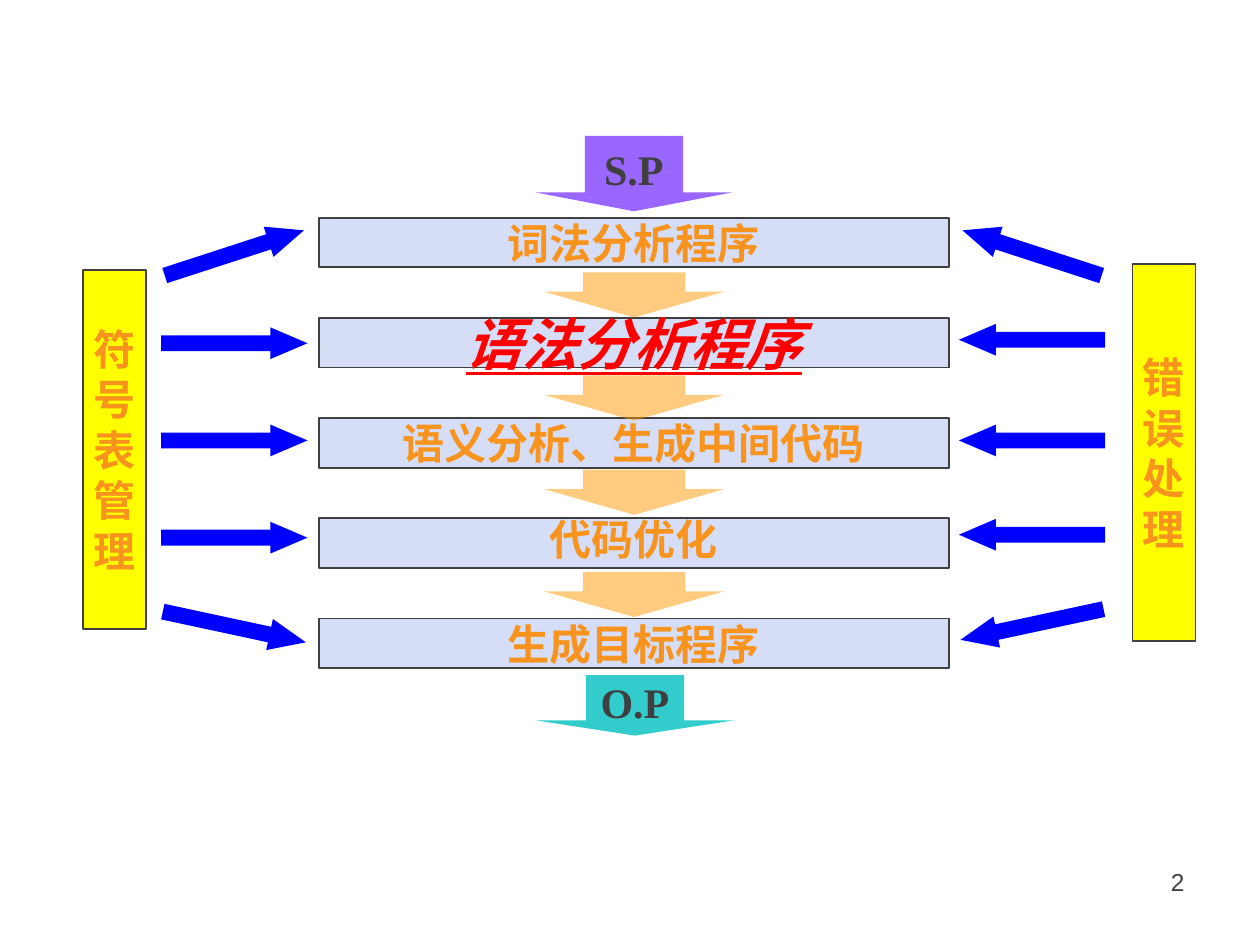
import pptx
import pptx.dml.color
import pptx.enum.shapes
import pptx.enum.text
import pptx.oxml
import pptx.oxml.ns
import pptx.util
from dataclasses import dataclass

Cm = pptx.util.Cm
Pt = pptx.util.Pt
SHAPE = pptx.enum.shapes.MSO_SHAPE
ALIGN = pptx.enum.text.PP_ALIGN


@dataclass(frozen=True)
class Theme:
    cjk: str = "Noto Sans CJK SC"
    serif: str = "Times New Roman"
    sans: str = "Arial"
    dark: str = "3F3F3F"
    label: str = "F8931D"
    current: str = "FF0000"
    stage: str = "D6DDF6"
    side: str = "FFFF00"
    flow: str = "FF9900"
    link: str = "0000FF"
    source: str = "9966FF"
    target: str = "33CCCC"
    size: int = 24
    current_size: int = 32
    number_size: int = 14


class Diagram:
    """Holds the theme and the slide being drawn; lengths are in cm."""

    def __init__(self, slide, theme):
        self.slide = slide
        self.theme = theme

    def shape(self, kind, box, fill, line=None):
        sp = self.slide.shapes.add_shape(kind, *(Cm(v) for v in box))
        sp.shadow.inherit = False
        sp.fill.solid()
        sp.fill.fore_color.rgb = pptx.dml.color.RGBColor.from_string(fill)
        if line:
            sp.line.color.rgb = pptx.dml.color.RGBColor.from_string(line)
            sp.line.width = Pt(1)
        else:
            sp.line.fill.background()
        return sp

    def text(self, sp, lines, font, color, size, align=ALIGN.CENTER,
             spacing=None, emphasis=False, bold=True):
        tf = sp.text_frame
        for i, line in enumerate(lines):
            p = tf.paragraphs[0] if i == 0 else tf.add_paragraph()
            p.alignment = align
            p.line_spacing = spacing
            r = p.add_run()
            r.text = line
            r.font.name = font
            r.font.size = Pt(size)
            r.font.bold = bold
            if emphasis:
                r.font.italic = r.font.underline = True
            r.font.color.rgb = pptx.dml.color.RGBColor.from_string(color)
            ea = pptx.oxml.parse_xml(
                f'<a:ea {pptx.oxml.ns.nsdecls("a")} typeface="{font}"/>')
            r.font._element.find(pptx.oxml.ns.qn("a:latin")).addnext(ea)

    def box(self, box, fill, lines, color=None, size=None, **style):
        t = self.theme
        sp = self.shape(SHAPE.RECTANGLE, box, fill, t.dark)
        sp.text_frame.word_wrap = False
        self.text(sp, lines, t.cjk, color or t.label, size or t.size, **style)

    def end_arrow(self, box, fill, label):
        t = self.theme
        sp = self.shape(SHAPE.DOWN_ARROW, box, fill)
        sp.adjustments[0], sp.adjustments[1] = 0.5, 0.25
        sp.text_frame.word_wrap = False
        self.text(sp, [label], t.serif, t.dark, t.size)

    def flow_arrow(self, top):
        sp = self.shape(SHAPE.DOWN_ARROW, (10.97, top, 3.63, 0.91), self.theme.flow)
        sp.adjustments[0], sp.adjustments[1] = 0.57, 0.57
        color = sp.fill._xPr.find(".//" + pptx.oxml.ns.qn("a:srgbClr"))
        color.append(pptx.oxml.parse_xml(
            f'<a:alpha {pptx.oxml.ns.nsdecls("a")} val="50000"/>'))

    def link_arrow(self, kind, left, top, angle):
        sp = self.shape(kind, (left, top, 2.95, 0.64), self.theme.link)
        sp.adjustments[0], sp.adjustments[1] = 0.5, 1.17
        sp.rotation = angle

    def page_number(self, number):
        t = self.theme
        sp = self.slide.shapes.add_textbox(Cm(18.21), Cm(17.35), Cm(5.92), Cm(1.32))
        sp.text_frame.word_wrap = True
        self.text(sp, [number], t.sans, t.dark, t.number_size,
                  align=ALIGN.RIGHT, bold=False)


def main():
    prs = pptx.Presentation()
    prs.slide_width, prs.slide_height = Cm(25.4), Cm(19.05)
    theme = Theme()
    d = Diagram(prs.slides.add_slide(prs.slide_layouts[6]), theme)

    # Source and target programs
    d.end_arrow((10.8, 2.74, 3.96, 1.52), theme.source, "S.P")
    d.end_arrow((10.82, 13.61, 3.96, 1.22), theme.target, "O.P")

    # Compiler stages, last first, so each stage lies over the arrow below it
    current = dict(color=theme.current, size=theme.current_size, emphasis=True)
    stages = [
        ("词法分析程序", {}, 5.49),
        ("语法分析程序", current, 7.57),
        ("语义分析、生成中间代码", {}, 9.47),
        ("代码优化", dict(spacing=0.8), 11.53),
        ("生成目标程序", {}, None),
    ]
    for i, (name, style, arrow_top) in reversed(list(enumerate(stages))):
        if arrow_top:
            d.flow_arrow(arrow_top)
        d.box((6.43, 4.39 + 2.02 * i, 12.7, 1), theme.stage, [name], **style)

    # Side modules, one character a line, with arrows to every stage
    angles = (-18, 0, 0, 0, 12.1)
    sides = [
        ("符号表管理", (1.68, 5.44, 1.27, 7.24), SHAPE.RIGHT_ARROW, 3.25, 1,
         (4.78, 6.6, 8.56, 10.52, 12.32)),
        ("错误处理", (22.83, 5.33, 1.27, 7.59), SHAPE.LEFT_ARROW, 19.33, -1,
         (4.78, 6.53, 8.56, 10.46, 12.27)),
    ]
    for name, box, kind, left, sign, tops in sides:
        d.box(box, theme.side, name)
        for top, angle in zip(tops, angles):
            d.link_arrow(kind, left, top, sign * angle)

    d.page_number("2")
    prs.save("out.pptx")


if __name__ == "__main__":
    main()
